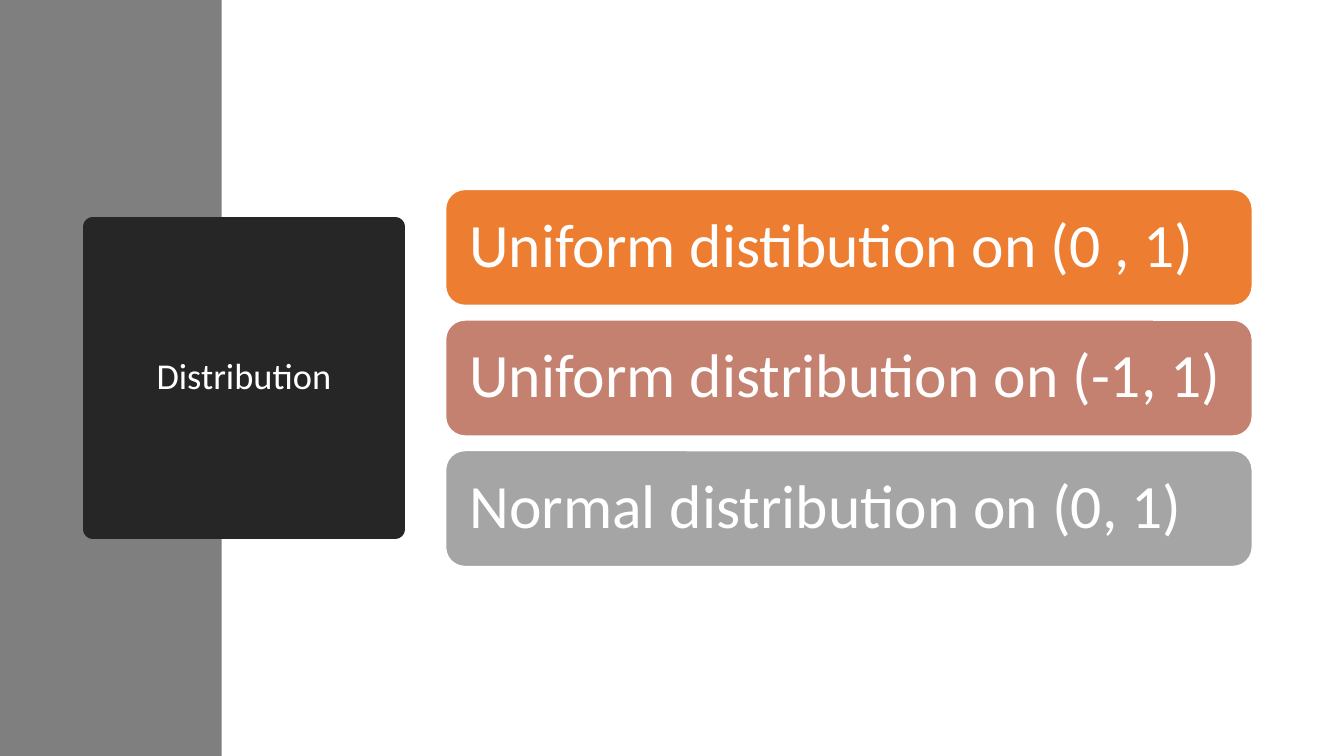
from dataclasses import dataclass

import lxml.etree
import pptx
import pptx.dml.color
import pptx.enum.shapes
import pptx.enum.text
import pptx.oxml.ns
import pptx.util

Inches = pptx.util.Inches
Pt = pptx.util.Pt
SHAPE = pptx.enum.shapes.MSO_SHAPE
ALIGN = pptx.enum.text.PP_ALIGN


@dataclass(frozen=True)
class Theme:
    font: str = "Calibri"
    title_size: float = 26
    bar_size: float = 44
    band: str = "7F7F7F"
    title_fill: str = "262626"
    light: str = "FFFFFF"
    bars: tuple = ("ED7D31", "C48170", "A5A5A5")


THEME = Theme()
DISTRIBUTIONS = (
    "Uniform distibution on (0 , 1)",
    "Uniform distribution on (-1, 1)",
    "Normal distribution on (0, 1)",
)


def rgb(value):
    return pptx.dml.color.RGBColor.from_string(value)


def paint(sp, fill, line=None, width=0):
    sp.fill.solid()
    sp.fill.fore_color.rgb = rgb(fill)
    if line:
        sp.line.color.rgb = rgb(line)
        sp.line.width = Pt(width)
    else:
        sp.line.fill.background()


def write(sp, text, size, align):
    tf = sp.text_frame
    tf.text = text
    tf.word_wrap = True
    tf.auto_size = pptx.enum.text.MSO_AUTO_SIZE.NONE
    tf.vertical_anchor = pptx.enum.text.MSO_ANCHOR.MIDDLE
    p = tf.paragraphs[0]
    p.alignment = align
    p.line_spacing = 0.9
    font = p.runs[0].font
    font.name, font.size = THEME.font, Pt(size)
    font.color.rgb = rgb(THEME.light)


def add_box(s, shape, left, top, width, height):
    sp = s.shapes.add_shape(shape, Inches(left), Inches(top), Inches(width), Inches(height))
    sp.shadow.inherit = False
    return sp


def add_band(s, left, top, width, height):
    """Place the side band behind the title."""
    band = add_box(s, SHAPE.RECTANGLE, left, top, width, height)
    paint(band, THEME.band)
    s.shapes.title.element.addprevious(band.element)


def fill_title(s, text, left, top, width, height):
    """Turn the title placeholder into a dark tile with rounded line joins."""
    title = s.shapes.title
    title.left, title.top = Inches(left), Inches(top)
    title.width, title.height = Inches(width), Inches(height)
    paint(title, THEME.title_fill, THEME.title_fill, 13.75)
    qn = pptx.oxml.ns.qn
    lxml.etree.SubElement(title.element.spPr.find(qn("a:ln")), qn("a:round"))
    write(title, text, THEME.title_size, ALIGN.CENTER)


def add_bars(s, labels, left, top, width, height, bar_height=1.15):
    """Spread one bar per label evenly over the height of the box."""
    pitch = (height - bar_height) / (len(labels) - 1)
    for i, (label, color) in enumerate(zip(labels, THEME.bars)):
        bar = add_box(s, SHAPE.ROUNDED_RECTANGLE, left, top + i * pitch, width, bar_height)
        paint(bar, color, THEME.light, 1)
        write(bar, label, THEME.bar_size, ALIGN.LEFT)
        tf = bar.text_frame
        tf.margin_left = tf.margin_right = Inches(0.18)
        tf.margin_top = tf.margin_bottom = Inches(0.18)


def main():
    prs = pptx.Presentation()
    prs.slide_width, prs.slide_height = Inches(13.33), Inches(7.5)
    s = prs.slides.add_slide(prs.slide_layouts.get_by_name("Title Only"))
    add_band(s, 0, 0, 2.2, 7.5)
    fill_title(s, "Distribution", 0.92, 2.25, 3, 3)
    add_bars(s, DISTRIBUTIONS, 4.42, 1.88, 8, 3.74)
    prs.save("out.pptx")


if __name__ == "__main__":
    main()
